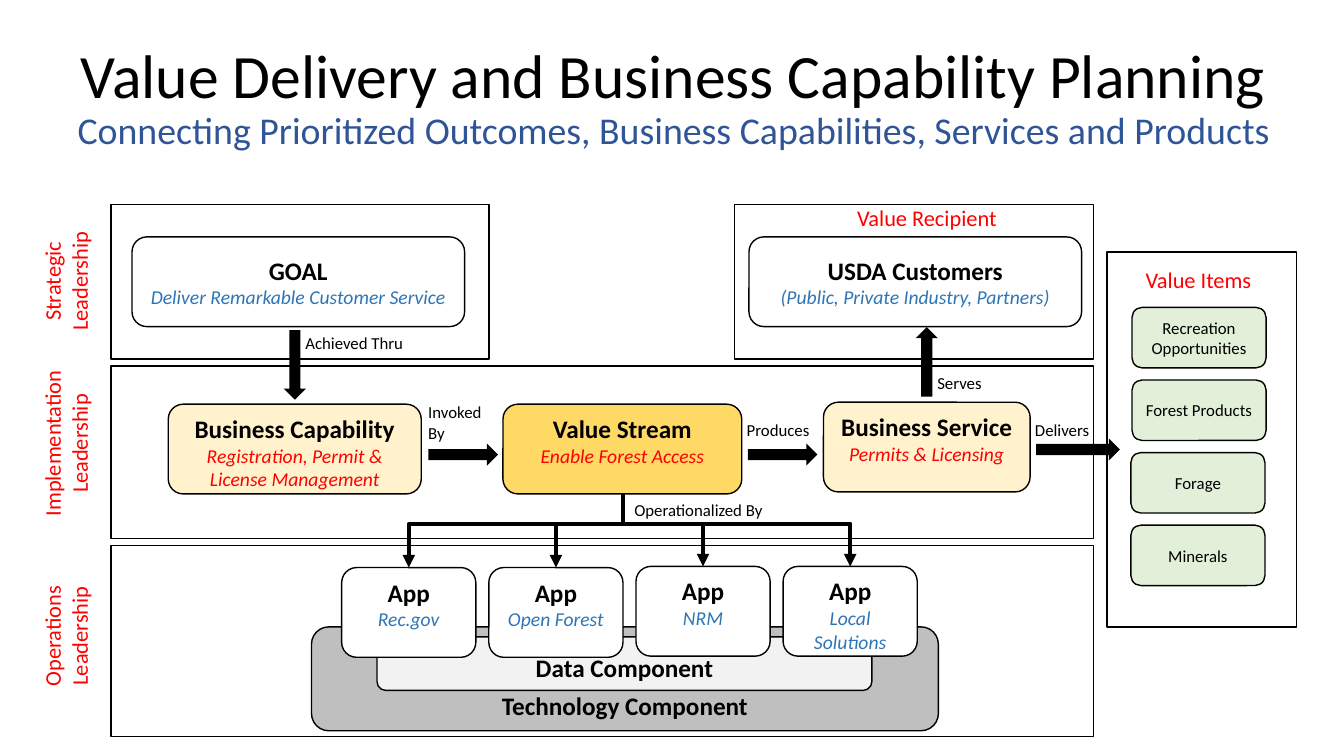
from pptx import Presentation
from pptx.dml.color import RGBColor as RGB
from pptx.enum.shapes import MSO_CONNECTOR as CONN, MSO_SHAPE as SHAPE
from pptx.enum.text import MSO_ANCHOR as ANCHOR, PP_ALIGN as ALIGN
from pptx.oxml.ns import qn
from pptx.util import Pt
from lxml.etree import SubElement

COLORS = {
    "black": "000000", "white": "FFFFFF", "red": "FF0000",
    "navy": "2F5597", "blue": "2E75B6", "cream": "FFF2CC",
    "gold": "FFD966", "green": "E2F0D9", "gray": "BFBFBF", "pale": "F2F2F2",
}
HEAD = {"size": 18, "bold": True, "color": "black"}
BLUE_SUB = {"size": 14, "italic": True, "color": "blue"}
RED_SUB = {"size": 14, "italic": True, "color": "red"}
SMALL = {"size": 12, "color": "black"}
RED = {"size": 16, "color": "red"}
TITLE = {"size": 44, "color": "black"}
SUBTITLE = {"size": 27, "color": "navy"}


class Board:
    def __init__(self, slide, font="Calibri"):
        self.shapes = slide.shapes
        self.font = font

    def color(self, name):
        return RGB.from_string(COLORS[name])

    def add_text(self, p, text, style):
        r = p.add_run()
        r.text = text
        r.font.name = self.font
        for key, value in style.items():
            if key == "color":
                r.font.color.rgb = self.color(value)
            else:
                setattr(r.font, key, Pt(value) if key == "size" else value)

    def fill_text(self, sp, lines, align=ALIGN.CENTER, anchor=ANCHOR.TOP, wrap=True):
        tf = sp.text_frame
        for key, value in {"word_wrap": wrap, "vertical_anchor": anchor}.items():
            setattr(tf, key, value)
        for i, (text, style) in enumerate(lines):
            p = tf.add_paragraph() if i else tf.paragraphs[0]
            p.alignment = align
            self.add_text(p, text, style)

    def box(self, at, fill="white", lines=(), anchor=ANCHOR.TOP,
            kind=SHAPE.ROUNDED_RECTANGLE, line=True):
        sp = self.shapes.add_shape(kind, *map(Pt, at))
        sp.shadow.inherit = False
        if fill:
            sp.fill.solid()
            sp.fill.fore_color.rgb = self.color(fill)
        else:
            sp.fill.background()
        if line:
            sp.line.color.rgb = self.color("black")
            sp.line.width = Pt(1)
        else:
            sp.line.fill.background()
        self.fill_text(sp, lines, anchor=anchor)

    def panel(self, at, fill="white"):
        self.box(at, fill, kind=SHAPE.RECTANGLE)

    def arrow(self, at, kind=SHAPE.RIGHT_ARROW):
        self.box(at, "black", kind=kind, line=False)

    def label(self, at, lines, align=ALIGN.LEFT, wrap=False, rotation=0):
        sp = self.shapes.add_textbox(*map(Pt, at))
        sp.rotation = rotation
        self.fill_text(sp, lines, align, wrap=wrap)

    def title(self, at, text, subtitle):
        sp = self.shapes.add_textbox(*map(Pt, at))
        self.fill_text(sp, [(text, TITLE)], anchor=ANCHOR.MIDDLE)
        p = sp.text_frame.paragraphs[0]
        p.line_spacing = 0.9
        p.add_line_break()
        self.add_text(p, subtitle, SUBTITLE)

    def branch(self, x1, y1, x2, y2, bend=41000):
        cx, cy = (x1 + x2) / 2, (y1 + y2) / 2
        right = x2 > x1
        dx, dy = (y2 - y1) / 2, abs(x2 - x1) / 2
        if right:
            dx = -dx
        ends = cx - dx, cy - dy, cx + dx, cy + dy
        c = self.shapes.add_connector(CONN.ELBOW, *map(Pt, ends))
        c.line.color.rgb = self.color("black")
        c.line.width = Pt(3)
        pr = c._element.spPr
        pr.find(qn("a:xfrm")).set("rot", str((270 if right else 90) * 60000))
        geom = pr.find(qn("a:prstGeom"))
        av = geom.find(qn("a:avLst"))
        if av is None:
            av = SubElement(geom, qn("a:avLst"))
        SubElement(av, qn("a:gd"), name="adj1", fmla=f"val {bend}")
        SubElement(pr.find(qn("a:ln")), qn("a:tailEnd"), type="triangle")
        SubElement(pr, qn("a:effectLst"))


def main():
    prs = Presentation()
    prs.slide_width, prs.slide_height = Pt(960), Pt(540)
    s = Board(prs.slides.add_slide(prs.slide_layouts[6]))

    s.box((222.5, 447.8, 447.8, 74.2), "gray",
          [("Technology Component", HEAD)], ANCHOR.BOTTOM)
    s.box((269.3, 455, 353.5, 38.2), "pale",
          [("Data Component", HEAD)], ANCHOR.BOTTOM)

    s.panel((524.9, 146.2, 256.3, 110.2))
    s.panel((79.2, 146.2, 270, 110.2))
    s.panel((79.2, 261.4, 702, 123.1))
    s.panel((79.2, 389.5, 702, 136.8), None)
    s.panel((790.6, 180, 135.4, 267.8))

    for level, width, cy in (("Strategic", 85.7, 200.9),
                             ("Implementation", 119.5, 316.8),
                             ("Operations", 87.1, 454.3)):
        s.label((47 - width / 2, cy - 23, width, 46),
                [(level, RED), ("Leadership", RED)], ALIGN.CENTER, rotation=270)

    s.title((28.8, 18.7, 905, 104.4),
            "Value Delivery and Business Capability Planning",
            "Connecting Prioritized Outcomes, Business Capabilities, Services and Products")

    for x, head, sub in ((94.3, "GOAL", "Deliver Remarkable Customer Service"),
                         (535, "USDA Customers", "(Public, Private Industry, Partners)")):
        s.box((x, 169.2, 237.6, 64.1), "white",
              [(head, HEAD), (sub, BLUE_SUB)], ANCHOR.MIDDLE)

    for x, y, w, fill, head, sub in (
            (120.2, 288.7, 180.7, "cream", "Business Capability",
             "Registration, Permit & License Management"),
            (359.3, 288.7, 170.6, "gold", "Value Stream", "Enable Forest Access"),
            (588.2, 287.3, 147.6, "cream", "Business Service", "Permits & Licensing")):
        s.box((x, y, w, 64.1), fill, [(head, HEAD), (sub, RED_SUB)])

    app_w, app_step = 95.8, 105.1
    for i, name in enumerate(("Rec.gov", "Open Forest", "NRM", "Local Solutions")):
        x, y = 244.1 + i * app_step, 405.4 if i < 2 else 404.6
        s.box((x, y, app_w, 64.1), "white", [("App", HEAD), (name, BLUE_SUB)])
        s.branch(445, 352.8, x + app_w / 2, y)

    for i, item in enumerate(("Recreation Opportunities", "Forest Products",
                              "Forage", "Minerals")):
        s.box((808.6 if i < 2 else 807.8, 219.6 + i * 51.84, 95.8, 43.2),
              "green", [(item, SMALL)], ANCHOR.MIDDLE)

    s.arrow((306, 316.8, 49.7, 15.8))
    s.arrow((534.2, 316.8, 49.7, 15.8))
    s.arrow((740.2, 313.2, 59.8, 15.8))
    s.arrow((654.1, 233.6, 15.8, 49.7), SHAPE.UP_ARROW)
    s.arrow((202.7, 235.8, 15.8, 49.7), SHAPE.DOWN_ARROW)

    s.label((298.8, 283.7, 53.3, 36), [("Invoked", SMALL), ("By", SMALL)])
    for x, y, w, text in ((526.3, 296.6, 59.8, "Produces"),
                          (732.2, 296.6, 54, "Delivers"),
                          (662.4, 262.8, 46.8, "Serves"),
                          (211, 234, 87.8, "Achieved Thru")):
        s.label((x, y, w, 21.6), [(text, SMALL)])
    s.label((444.2, 353.5, 109.4, 21.6), [("Operationalized By", SMALL)],
            ALIGN.CENTER, True)
    s.label((810.7, 186.5, 90.7, 26.6), [("Value Items", RED)], ALIGN.CENTER)
    s.label((596.9, 142.6, 130.3, 26.6), [("Value Recipient", RED)],
            ALIGN.CENTER, True)

    prs.save("out.pptx")


if __name__ == "__main__":
    main()
